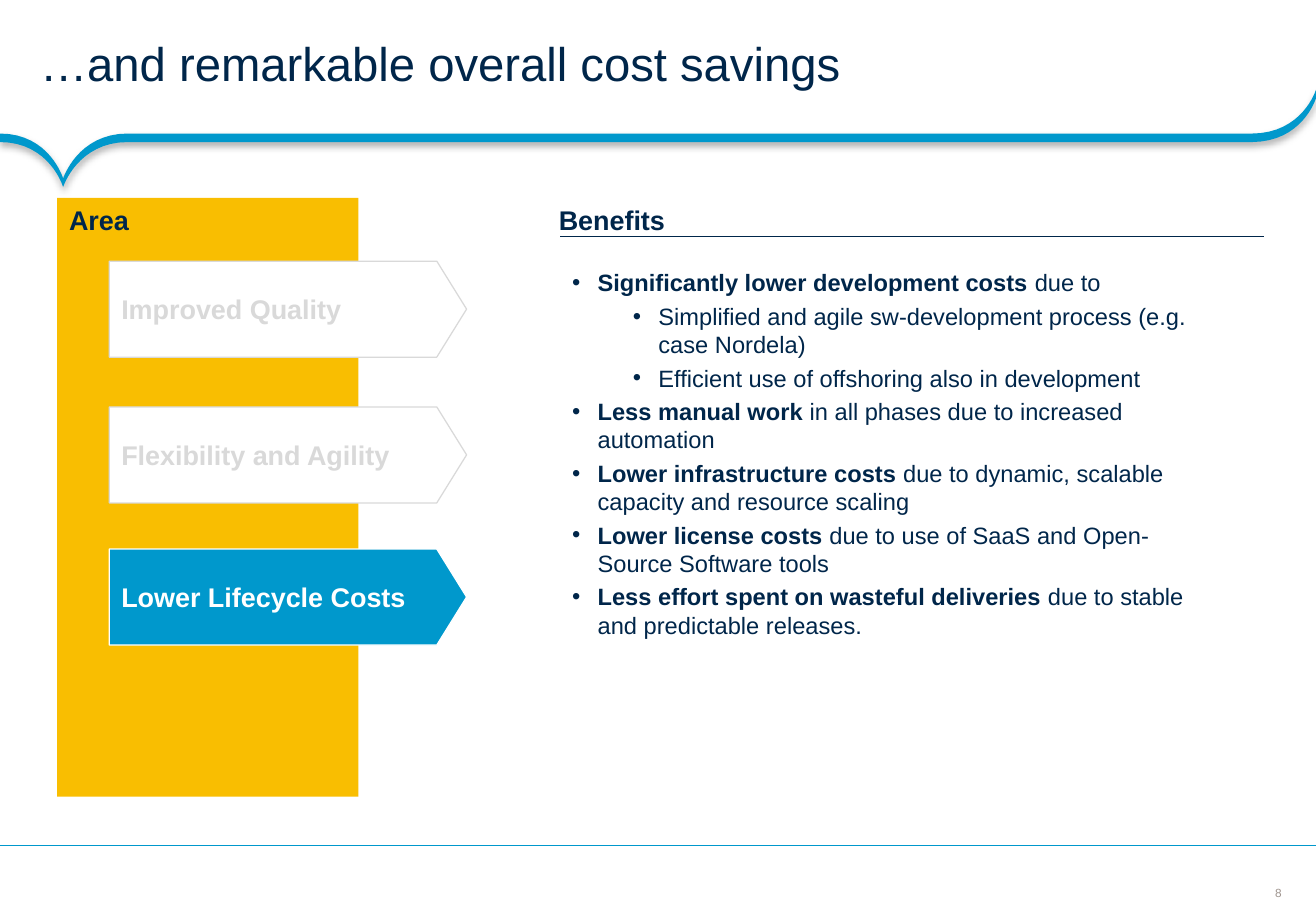
from typing import NamedTuple

from lxml.etree import SubElement
from pptx import Presentation
from pptx.dml.color import RGBColor
from pptx.enum.shapes import MSO_CONNECTOR, MSO_SHAPE
from pptx.enum.text import MSO_ANCHOR, PP_ALIGN
from pptx.oxml import parse_xml
from pptx.oxml.ns import nsdecls, qn
from pptx.util import Inches, Pt

NAVY = RGBColor(0x00, 0x26, 0x4A)
BLUE = RGBColor(0x00, 0x98, 0xCC)
GOLD = RGBColor(0xF9, 0xBE, 0x01)
PALE = RGBColor(0xD9, 0xD9, 0xD9)
GREY = RGBColor(0x9F, 0x95, 0x8F)
WHITE = RGBColor(0xFF, 0xFF, 0xFF)
WIDTH, HEIGHT = 10.83, 7.5
BAND = 0.07
STEPS = 16


class Box(NamedTuple):
    left: float
    top: float
    width: float
    height: float


class Area(NamedTuple):
    name: str
    top: float
    fill: RGBColor
    line: RGBColor
    color: RGBColor


class Point(NamedTuple):
    bold: str
    plain: str
    indent: float = 0.21


AREAS = [
    Area("Improved Quality", 2.15, WHITE, PALE, PALE),
    Area("Flexibility and Agility", 3.35, WHITE, PALE, PALE),
    Area("Lower Lifecycle Costs", 4.52, BLUE, WHITE, WHITE),
]
POINTS = [
    Point("Significantly lower development costs ", "due to"),
    Point("", "Simplified and agile sw-development process (e.g. case Nordela)", 0.71),
    Point("", "Efficient use of offshoring also in development", 0.71),
    Point("Less manual work", " in all phases due to increased automation"),
    Point("Lower infrastructure costs", " due to dynamic, scalable capacity and resource scaling"),
    Point("Lower license costs", " due to use of SaaS and Open-Source Software tools"),
    Point("Less effort spent on wasteful deliveries", " due to stable and predictable releases."),
]
# Cubic curves along the upper edge of the band, left to right
CURVES = [
    [(0, 1.1), (0.41, 1.1), (0.52, 1.47), (0.52, 1.47)],
    [(0.52, 1.47), (0.52, 1.47), (0.64, 1.1), (1.05, 1.1)],
    [(10.3, 1.1), (10.72, 1.1), (WIDTH, 0.74), (WIDTH, 0.74)],
]


def add_run(para, text: str, size: float, color: RGBColor, bold: bool = False) -> None:
    run = para.add_run()
    run.text = text
    font = run.font
    font.name, font.size, font.bold = "Arial", Pt(size), bold
    font.color.rgb = color


def add_text(shapes, box: Box, pads=(0.1, 0.05, 0.1, 0.05), wrap: bool = True):
    frame = shapes.add_textbox(*map(Inches, box)).text_frame
    frame.word_wrap = wrap
    (frame.margin_left, frame.margin_top,
     frame.margin_right, frame.margin_bottom) = map(Inches, pads)
    return frame


def add_block(shapes, kind: MSO_SHAPE, box: Box, fill: RGBColor, text: str,
              color: RGBColor, anchor: MSO_ANCHOR):
    shape = shapes.add_shape(kind, *map(Inches, box))
    shape.shadow.inherit = False
    shape.fill.solid()
    shape.fill.fore_color.rgb = fill
    shape.line.fill.background()
    frame = shape.text_frame
    frame.vertical_anchor = anchor
    para = frame.paragraphs[0]
    para.alignment = PP_ALIGN.LEFT
    add_run(para, text, 16, color, True)
    return shape


def add_rule(shapes, left: float, right: float, top: float, color: RGBColor) -> None:
    rule = shapes.add_connector(MSO_CONNECTOR.STRAIGHT, Inches(left), Inches(top),
                                Inches(right), Inches(top))
    rule.line.color.rgb = color
    rule.line.width = Pt(0.75)
    SubElement(rule._element.spPr, qn("a:effectLst"))


def trace(curve: list) -> list:
    """Sample a cubic curve into points."""
    dots = []
    for step in range(STEPS + 1):
        t = step / STEPS
        parts = ((1 - t) ** 3, 3 * t * (1 - t) ** 2, 3 * t * t * (1 - t), t ** 3)
        dots.append(tuple(sum(w * knot[axis] for w, knot in zip(parts, curve))
                          for axis in (0, 1)))
    return dots


def add_band(shapes) -> None:
    upper = [dot for curve in CURVES for dot in trace(curve)]
    lower = [(x, y + BAND) for x, y in reversed(upper)]
    dots = [(Inches(x), Inches(y)) for x, y in upper + lower]
    form = shapes.build_freeform(*dots[0])
    form.add_line_segments(dots[1:], close=True)
    band = form.convert_to_shape()
    band.fill.solid()
    band.fill.fore_color.rgb = BLUE
    band.line.fill.background()
    band._element.spPr.append(parse_xml(
        f'<a:effectLst {nsdecls("a")}><a:outerShdw blurRad="{Pt(4)}" dist="{Pt(2)}" '
        'dir="5400000" rotWithShape="0"><a:srgbClr val="000000"><a:alpha val="31000"/>'
        '</a:srgbClr></a:outerShdw></a:effectLst>'))


def add_points(shapes) -> None:
    frame = add_text(shapes, Box(4.61, 2.16, 5.52, 1.36))
    for index, point in enumerate(POINTS):
        para = frame.add_paragraph() if index else frame.paragraphs[0]
        para.space_before = Pt(3 if index else 0)
        props = para._p.get_or_add_pPr()
        props.set("marL", str(Inches(point.indent)))
        props.set("indent", str(-Inches(0.21)))
        SubElement(props, qn("a:buFont"), typeface="Arial")
        SubElement(props, qn("a:buChar"), char="•")
        if point.bold:
            add_run(para, point.bold, 14, NAVY, True)
        add_run(para, point.plain, 14, NAVY)


def main() -> None:
    deck = Presentation()
    deck.slide_width, deck.slide_height = Inches(WIDTH), Inches(HEIGHT)
    shapes = deck.slides.add_slide(deck.slide_layouts[6]).shapes

    number = add_text(shapes, Box(10.46, 7.29, 0.12, 0.12), (0, 0, 0, 0), False)
    number.vertical_anchor = MSO_ANCHOR.MIDDLE
    number.paragraphs[0].alignment = PP_ALIGN.CENTER
    add_run(number.paragraphs[0], "8", 7, GREY)
    add_band(shapes)
    add_rule(shapes, 0, WIDTH, 6.96, BLUE)

    add_block(shapes, MSO_SHAPE.RECTANGLE, Box(0.47, 1.63, 2.48, 4.93), GOLD,
              "Area", NAVY, MSO_ANCHOR.TOP)
    title = add_text(shapes, Box(0, 0, WIDTH, 1.1), (0.33, 0.04, 0.18, 0.04))
    title.vertical_anchor = MSO_ANCHOR.MIDDLE
    title.paragraphs[0].line_spacing = 0.85
    add_run(title.paragraphs[0], "…and remarkable overall cost savings", 28, NAVY)

    for area in AREAS:
        arrow = add_block(shapes, MSO_SHAPE.PENTAGON, Box(0.9, area.top, 2.94, 0.79),
                          area.fill, area.name, area.color, MSO_ANCHOR.MIDDLE)
        arrow.adjustments[0] = 0.31
        arrow.line.color.rgb = area.line
        arrow.line.width = Pt(0.75)

    add_points(shapes)
    add_rule(shapes, 4.61, 10.4, 1.95, NAVY)
    head = add_text(shapes, Box(4.5, 1.63, 1.08, 0.37), wrap=False)
    add_run(head.paragraphs[0], "Benefits", 16, NAVY, True)
    deck.save("out.pptx")


if __name__ == "__main__":
    main()
